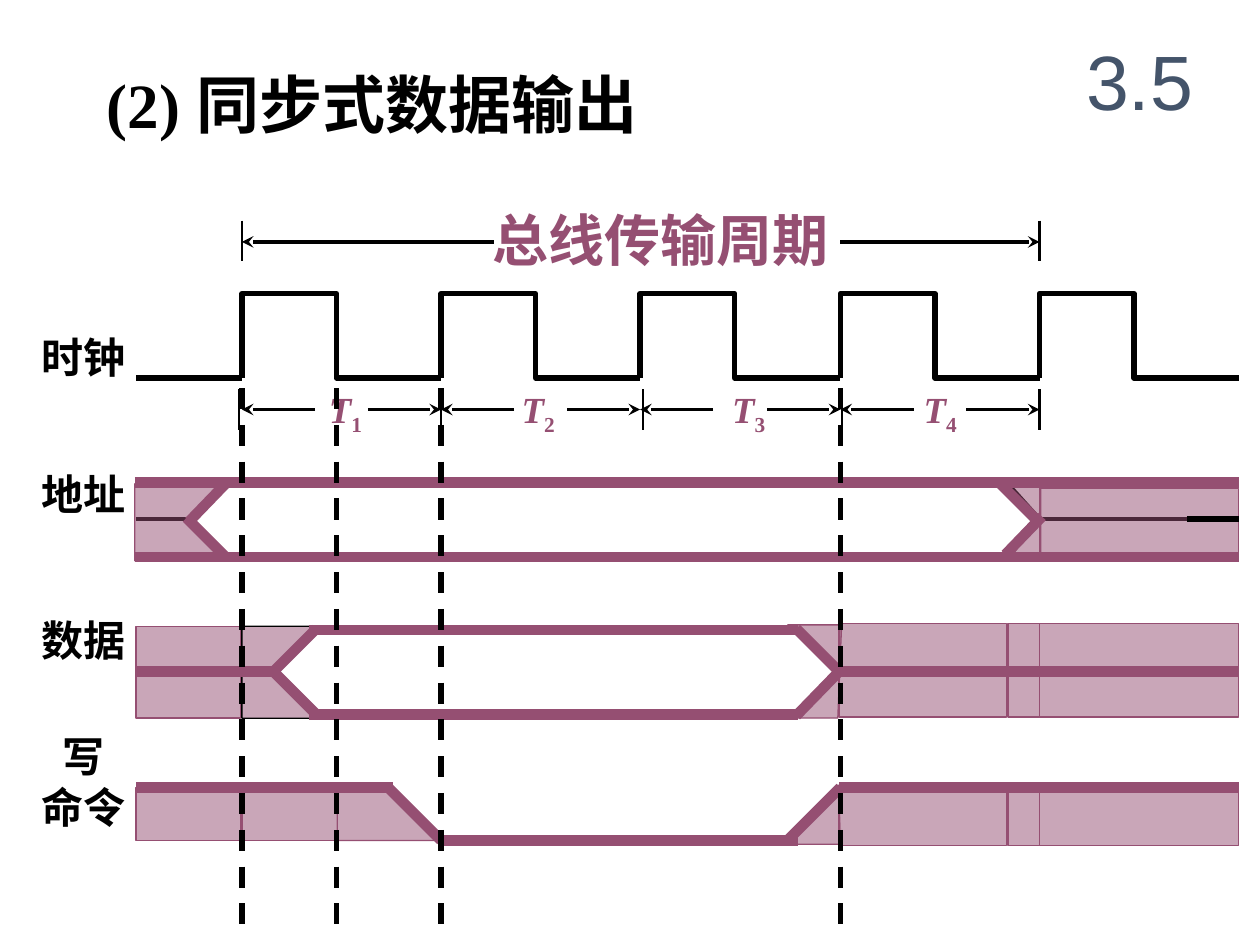
"""Build the timing diagram slide for synchronous data output."""
from itertools import pairwise

from lxml import etree
from pptx import Presentation
from pptx.dml.color import RGBColor
from pptx.enum.dml import MSO_LINE
from pptx.enum.shapes import MSO_CONNECTOR, MSO_SHAPE
from pptx.enum.text import MSO_ANCHOR, PP_ALIGN
from pptx.oxml.ns import qn
from pptx.util import Inches, Pt

STRAIGHT = MSO_CONNECTOR.STRAIGHT
RECTANGLE = MSO_SHAPE.RECTANGLE
DASH = MSO_LINE.DASH
MIDDLE = MSO_ANCHOR.MIDDLE
CENTER, LEFT = PP_ALIGN.CENTER, PP_ALIGN.LEFT

BLACK, PURPLE, SLATE = "000000", "954F72", "44546A"
SERIF, SANS, CHINESE = "Times New Roman", "Arial", "Noto Sans CJK SC"

CYCLES = [1.92, 3.5, 5.08, 6.67, 8.25]
CYCLE_TICKS = [1.9, 3.5, 5.1, 6.68, 8.25]
CYCLE_LABELS = [2.61, 4.14, 5.81, 7.33]
DASHED_MARKS = [1.92, 2.67, 3.5, 6.67]
LEFT_EDGE, RIGHT_EDGE = 1.08, 9.83

SIGNAL_LABELS = [
    ("时钟", 2.58, 0.5),
    ("地址", 3.67, 0.5),
    ("数据", 4.83, 0.5),
    ("写\n命令", 5.75, 0.9),
]
BASE_LINES = [
    (8.25, 4.12, 9.58, 4.12, 2.5),
    (1.08, 4.12, 1.51, 4.12, 2.5),
    (2.51, 5.67, 6.32, 5.67, 3),
    (2.51, 5, 6.32, 5, 3),
    (1.08, 5.31, 2.2, 5.31, 2.5),
    (6.64, 5.33, 9.49, 5.33, 2.5),
]
ADDRESS_WINDOW = [(1.78, 3.83), (1.52, 4.12), (1.76, 4.41),
                  (8, 4.42), (8.25, 4.12), (7.99, 3.83)]
WRITE_PULSE = [(1.08, 6.25), (3.08, 6.25), (3.5, 6.67),
               (6.25, 6.67), (6.67, 6.25), (9.5, 6.25)]
SHADED_BOXES = [
    (1.08, 4.97, 0.83, 0.73),
    (1.08, 6.25, 0.83, 0.42),
    (1.92, 6.25, 0.76, 0.42),
    (8.25, 3.88, 1.58, 0.54),
    *[(left, top, width, height)
      for left, width in [(6.66, 1.33), (8, 0.25), (8.25, 1.58)]
      for top, height in [(4.95, 0.74), (6.25, 0.46)]],
]
SHADED_OUTLINES = [
    ([(1.49, 4.12), (1.82, 3.83), (1.07, 3.84), (1.07, 4.45), (1.83, 4.45)], PURPLE),
    ([(2.55, 4.97), (1.92, 4.97), (1.92, 5.7), (2.5, 5.7), (2.15, 5.32)], BLACK),
    ([(2.67, 6.25), (3.08, 6.25), (3.5, 6.67), (2.67, 6.67)], PURPLE),
    ([(6.25, 4.96), (6.68, 4.96), (6.65, 5.7), (6.29, 5.7), (6.66, 5.31)], PURPLE),
    ([(6.66, 6.23), (6.17, 6.7), (6.68, 6.7)], PURPLE),
    ([(7.98, 3.81), (8.26, 3.81), (8.26, 4.42), (7.91, 4.42), (8.28, 4.13)], PURPLE),
]
ADDRESS_STEPS = [1.07, 1.92, 2.67, 3.5, 5.08, 6.33, 6.66, 8, 8.25, 9.83]
DATA_STEPS = [2.45, 2.67, 3.5, 5.08, 6.33]
IDLE_STEPS = [6.66, 8, 8.25, 9.83]
LEVELS = [
    (3.83, ADDRESS_STEPS),
    (4.42, ADDRESS_STEPS),
    (5, DATA_STEPS),
    (5.67, DATA_STEPS),
    (5.33, [1.08, 1.92, 2.17]),
    (5.33, IDLE_STEPS),
    (6.25, [1.08, 1.92, 2.67, 3.12]),
    (6.25, IDLE_STEPS),
    (6.67, [3.5, 5.08, 6.33]),
]
SLOPES = [
    (1.79, 3.84, 1.5, 4.14), (1.8, 4.43, 1.48, 4.11),
    (2.51, 4.99, 2.16, 5.34), (2.51, 5.67, 2.15, 5.31),
    (3.08, 6.25, 3.5, 6.67), (6.67, 6.25, 6.25, 6.67),
    (6.68, 5.35, 6.32, 4.99), (6.67, 5.32, 6.32, 5.68),
    (8.27, 4.1, 7.98, 4.4), (8.24, 4.14, 7.92, 3.82),
]


def color(value):
    """Return the colour for a hex string."""
    return RGBColor.from_string(value)


def add_line(slide, x1, y1, x2, y2, width, line_color=BLACK, dash=None, arrow=False):
    """Draw a straight line, with an arrowhead at its end if asked."""
    line = slide.shapes.add_connector(STRAIGHT, Inches(x1), Inches(y1), Inches(x2), Inches(y2))
    line.line.color.rgb = color(line_color)
    line.line.width = Pt(width)
    if dash:
        line.line.dash_style = dash
    properties = line.line._get_or_add_ln()
    if arrow:
        etree.SubElement(properties, qn("a:tailEnd"), type="stealth")
    etree.SubElement(properties.getparent(), qn("a:effectLst"))
    return line


def style_shape(shape, width, line_color, fill=None):
    """Give a shape its outline and a half-transparent fill or none."""
    shape.shadow.inherit = False
    shape.line.color.rgb = color(line_color)
    shape.line.width = Pt(width)
    if fill is None:
        shape.fill.background()
        return
    shape.fill.solid()
    shape.fill.fore_color.rgb = color(fill)
    tint = shape.fill._xPr.find(qn("a:solidFill"))[0]
    etree.SubElement(tint, qn("a:alpha"), val="50000")


def add_outline(slide, points, width, line_color=BLACK, fill=None, close=False):
    """Draw a freeform through points given in inches."""
    start, *rest = [(Inches(x), Inches(y)) for x, y in points]
    builder = slide.shapes.build_freeform(*start)
    builder.add_line_segments(rest, close=close)
    style_shape(builder.convert_to_shape(), width, line_color, fill)


def add_box(slide, left, top, width, height):
    """Draw a shaded rectangle."""
    box = slide.shapes.add_shape(RECTANGLE, Inches(left), Inches(top), Inches(width), Inches(height))
    style_shape(box, 0.75, PURPLE, PURPLE)


def format_font(font, size, name, font_color, bold=True, italic=False):
    """Set the look of a font."""
    font.size, font.name = Pt(size), name
    font.bold, font.italic = bold, italic
    font.color.rgb = color(font_color)


def add_text(slide, text, left, top, width, height, size, name=SERIF, font_color=BLACK,
             align=LEFT, margins=(0, 0), wrap=False, italic=False, subscript=None):
    """Add a bold text box, with an optional subscript after the text."""
    box = slide.shapes.add_textbox(Inches(left), Inches(top), Inches(width), Inches(height))
    frame = box.text_frame
    frame.word_wrap = wrap
    frame.margin_left = frame.margin_right = Inches(margins[0])
    frame.margin_top = frame.margin_bottom = Inches(margins[1])
    frame.text = text
    for paragraph in frame.paragraphs:
        paragraph.alignment = align
        for run in paragraph.runs:
            format_font(run.font, size, name, font_color, italic=italic)
    if subscript:
        run = frame.paragraphs[-1].add_run()
        run.text = subscript
        format_font(run.font, size, name, font_color)
        run.font._element.set("baseline", "-25000")


def add_title(slide, text):
    """Place the section number in the title placeholder."""
    title = slide.shapes.title
    title.left, title.top = Inches(8.42), Inches(0.17)
    title.width, title.height = Inches(1.25), Inches(0.92)
    title.text_frame.text = text
    title.text_frame.vertical_anchor = MIDDLE
    paragraph = title.text_frame.paragraphs[0]
    paragraph.alignment = CENTER
    format_font(paragraph.runs[0].font, 44, SANS, SLATE, bold=False)


def add_clock(slide):
    """Draw the clock signal, its cycles and the whole bus period."""
    add_line(slide, CYCLES[0], 3, LEFT_EDGE, 3, 3)
    for start, end in pairwise([*CYCLES, RIGHT_EDGE]):
        fall = start + 0.75
        add_outline(slide, [(start, 3), (start, 2.33), (fall, 2.33), (fall, 3), (end, 3)], 3)
    for tick in CYCLE_TICKS:
        add_line(slide, tick, 3.09, tick, 3.41, 1.25)
    for number, (start, end) in enumerate(pairwise(CYCLES), 1):
        add_line(slide, start + 0.58, 3.25, start, 3.25, 2.25, arrow=True)
        add_line(slide, end - 0.58, 3.25, end, 3.25, 2.25, arrow=True)
        add_text(slide, "T", CYCLE_LABELS[number - 1], 3.07, 0.28, 0.35, 21,
                 font_color=PURPLE, italic=True, subscript=str(number))
    for inner, tip in [(3.92, CYCLES[0]), (6.67, CYCLES[-1])]:
        add_line(slide, inner, 1.92, tip, 1.92, 2.25, arrow=True)
        add_line(slide, tip, 1.75, tip, 2.07, 1.25)
    add_text(slide, "总线传输周期", 3.91, 1.63, 2.68, 0.53, 32, CHINESE, PURPLE)


def add_signals(slide):
    """Draw the address, data and write command signals."""
    for *ends, width in BASE_LINES:
        add_line(slide, *ends, width)
    add_outline(slide, ADDRESS_WINDOW, 2.5, close=True)
    add_outline(slide, WRITE_PULSE, 3)
    for box in SHADED_BOXES:
        add_box(slide, *box)
    for points, line_color in SHADED_OUTLINES:
        add_outline(slide, points, 0.75, line_color, PURPLE)
    for y, width in [(4.12, 3), (5.33, 3), (6.25, 0.75)]:
        add_line(slide, 9.42, y, RIGHT_EDGE, y, width)
    for y, steps in LEVELS:
        for start, end in pairwise(steps):
            add_line(slide, start, y, end, y, 6, PURPLE)
    for slope in SLOPES:
        add_line(slide, *slope, 6, PURPLE)


def main():
    """Build and save the slide."""
    presentation = Presentation()
    presentation.slide_width, presentation.slide_height = Inches(10), Inches(7.5)
    slide = presentation.slides.add_slide(presentation.slide_layouts[5])
    add_title(slide, "3.5")
    add_text(slide, "(2) 同步式数据输出", 0.75, 0.47, 4.42, 0.7, 36, margins=(0.1, 0.05), wrap=True)
    add_clock(slide)
    for text, top, height in SIGNAL_LABELS:
        add_text(slide, text, 0.33, top, 0.67, height, 24, align=CENTER, margins=(0, 0.05))
    add_signals(slide)
    for x in DASHED_MARKS:
        add_line(slide, x, 3.08, x, 7.41, 3, dash=DASH)
    presentation.save("out.pptx")


if __name__ == "__main__":
    main()
